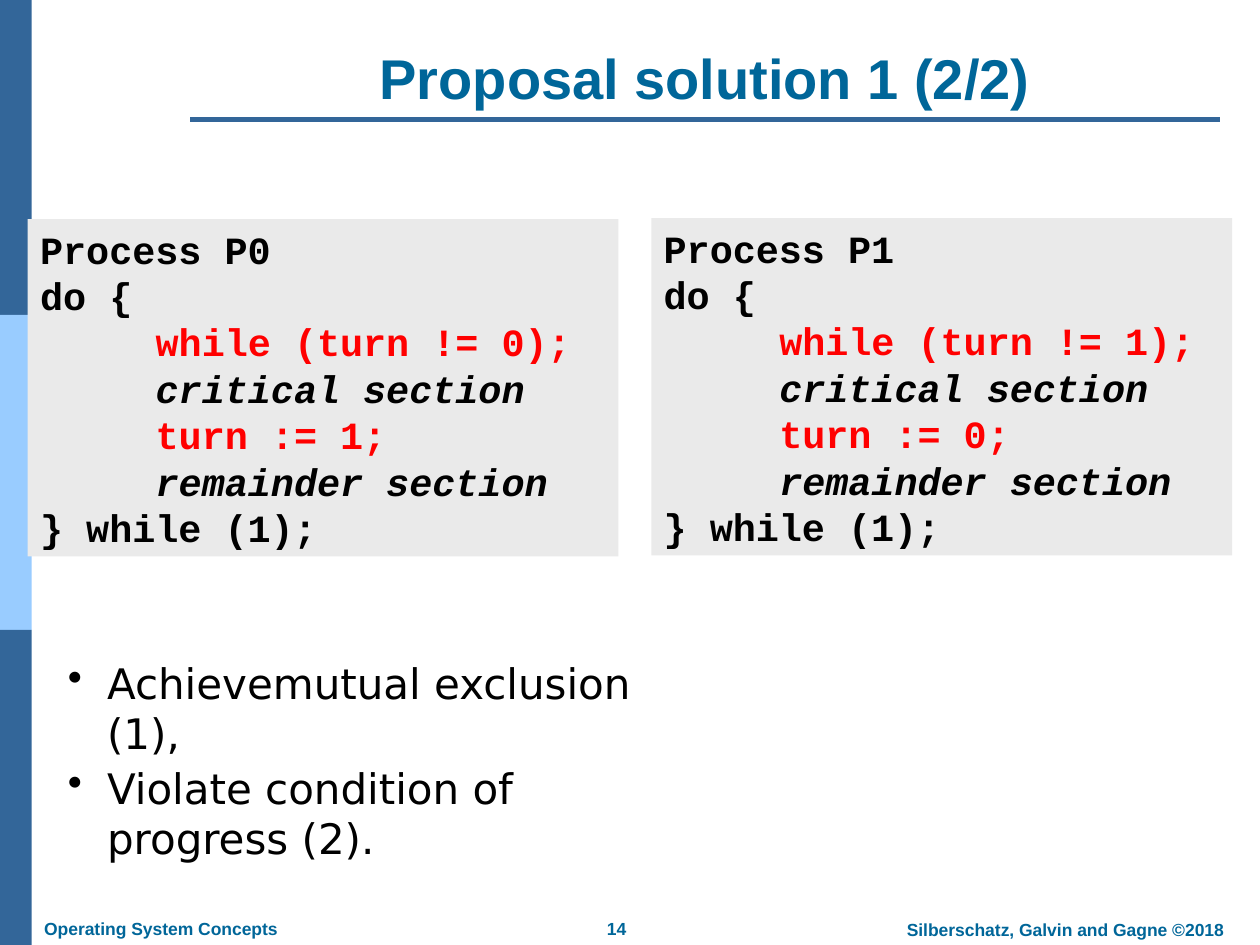
from lxml import etree
from pptx import Presentation
from pptx import util as u
from pptx.dml.color import RGBColor
from pptx.enum import shapes, text
from pptx.oxml import ns

COLORS = {
    "bar": "336699",
    "light_bar": "99CCFF",
    "heading": "006699",
    "panel": "EAEAEA",
    "code": "000000",
    "highlight": "FF0000",
}
LEFT, CENTER, RIGHT = text.PP_ALIGN.LEFT, text.PP_ALIGN.CENTER, text.PP_ALIGN.RIGHT


def rgb(name):
    return RGBColor.from_string(COLORS[name])


def set_font(paragraph, name, size, color, bold=False, italic=False):
    font = paragraph.font
    font.name, font.size = name, u.Pt(size)
    font.bold, font.italic = bold, italic
    font.color.rgb = rgb(color)


def set_indent(paragraph, margin, first_line=0):
    properties = paragraph._p.get_or_add_pPr()
    properties.set("marL", str(u.Cm(margin)))
    properties.set("indent", str(u.Cm(first_line)))
    return properties


def add_rectangle(slide, left, top, width, height, color):
    shape = slide.shapes.add_shape(
        shapes.MSO_SHAPE.RECTANGLE, u.Cm(left), u.Cm(top), u.Cm(width), u.Cm(height))
    shape.shadow.inherit = False
    shape.fill.solid()
    shape.fill.fore_color.rgb = rgb(color)
    shape.line.fill.background()
    return shape


def add_rule(slide, left, right, y, weight):
    line = slide.shapes.add_connector(
        shapes.MSO_CONNECTOR.STRAIGHT, u.Cm(left), u.Cm(y), u.Cm(right), u.Cm(y))
    line.line.color.rgb = rgb("bar")
    line.line.width = u.Pt(weight)
    etree.SubElement(line._element.spPr, ns.qn("a:effectLst"))


def add_text_box(slide, left, top, width, height, wrap=True):
    box = slide.shapes.add_textbox(u.Cm(left), u.Cm(top), u.Cm(width), u.Cm(height))
    box.text_frame.word_wrap = wrap
    return box.text_frame


def add_label(slide, left, top, width, height, label, size, alignment, wrap=True):
    frame = add_text_box(slide, left, top, width, height, wrap)
    frame.vertical_anchor = text.MSO_ANCHOR.BOTTOM
    paragraph = frame.paragraphs[0]
    paragraph.text = label
    paragraph.alignment = alignment
    set_font(paragraph, "Arial", size, "heading", bold=True)


def add_process(slide, left, top, width, own, other):
    # Each line: text, color, italic, indented
    lines = [
        (f"Process P{own}", "code", False, False),
        ("do {", "code", False, False),
        (f"while (turn != {own});", "highlight", False, True),
        ("critical section", "code", True, True),
        (f"turn := {other};", "highlight", False, True),
        ("remainder section", "code", True, True),
        ("} while (1);", "code", False, False),
    ]
    frame = add_rectangle(slide, left, top, width, 6.8, "panel").text_frame
    frame.word_wrap = True
    frame.vertical_anchor = text.MSO_ANCHOR.TOP
    frame.text = "\n".join(line[0] for line in lines)
    for paragraph, (_, color, italic, indented) in zip(frame.paragraphs, lines):
        paragraph.alignment = LEFT
        paragraph.line_spacing = u.Pt(26.5)
        set_font(paragraph, "Courier New", 22, color, bold=True, italic=italic)
        if indented:
            set_indent(paragraph, 2.33)


def add_bullets(slide, left, top, width, height, items):
    frame = add_text_box(slide, left, top, width, height)
    frame.auto_size = text.MSO_AUTO_SIZE.SHAPE_TO_FIT_TEXT
    frame.text = "\n".join(items)
    for paragraph in frame.paragraphs:
        paragraph.space_before = u.Pt(2.4)
        set_font(paragraph, "DejaVu Sans", 24, "code")
        properties = set_indent(paragraph, 0.79, -0.79)
        bullet = etree.Element(ns.qn("a:buChar"), char="•")
        properties.find(ns.qn("a:defRPr")).addprevious(bullet)


def main():
    presentation = Presentation()
    presentation.slide_width, presentation.slide_height = u.Cm(25.4), u.Cm(19.05)
    slide = presentation.slides.add_slide(presentation.slide_layouts[6])

    # Side bar in three equal parts
    for index, color in enumerate(["bar", "light_bar", "bar"]):
        add_rectangle(slide, 0, index * 6.35, 0.64, 6.35, color)

    # Title and its double rule
    add_rule(slide, 3.84, 24.59, 2.41, 3)
    add_rule(slide, 4.52, 24.59, 2.41, 1.5)
    add_label(slide, 3.84, 0.76, 20.75, 1.6, "Proposal solution 1 (2/2)", 32, CENTER)

    # Footer
    add_label(slide, 11.96, 18.36, 0.94, 0.69, "14", 10, CENTER, wrap=False)
    add_label(slide, 0.64, 18.36, 5.28, 0.69, "Operating System Concepts", 10, LEFT)
    add_label(slide, 18.01, 18.39, 6.91, 0.69,
              "Silberschatz, Galvin and Gagne ©2018", 10, RIGHT)

    # The two processes
    add_process(slide, 0.56, 4.42, 11.91, own=0, other=1)
    add_process(slide, 13.13, 4.4, 11.71, own=1, other=0)

    # Conclusions
    add_bullets(slide, 1.12, 13.13, 12.7, 2.41, [
        "Achievemutual exclusion (1),",
        "Violate condition of progress (2).",
    ])

    presentation.save("out.pptx")


if __name__ == "__main__":
    main()
